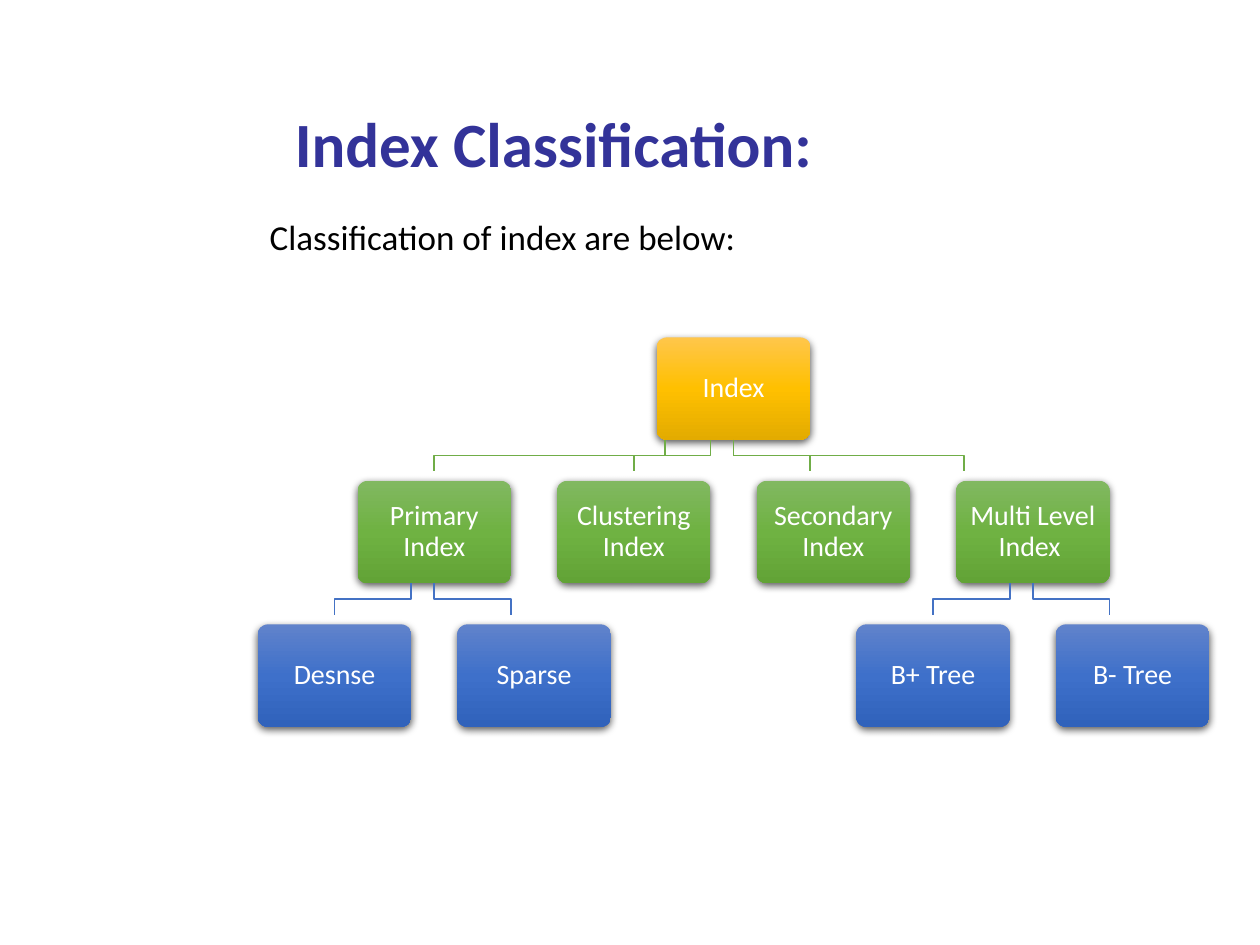
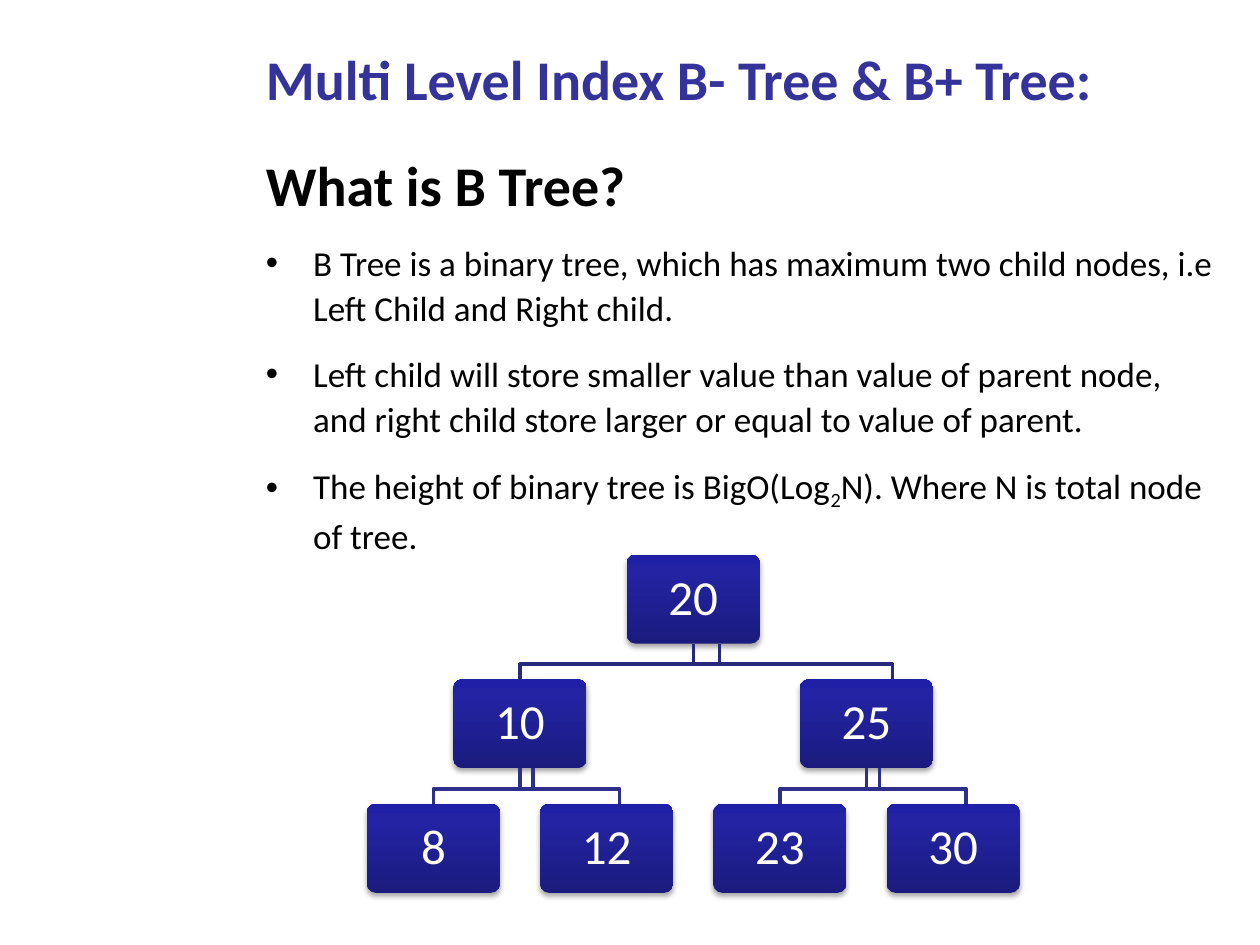
from pptx import Presentation
from pptx.dml.color import RGBColor
from pptx.enum.shapes import MSO_SHAPE
from pptx.enum.text import MSO_ANCHOR as Anchor, MSO_AUTO_SIZE as AutoSize, PP_ALIGN as Align
from pptx.oxml import parse_xml
from pptx.oxml.ns import nsdecls, qn
from pptx.util import Pt

# Shared style
FONT = "Calibri"
INDIGO = RGBColor(0x33, 0x33, 0x99)
BLACK = RGBColor(0, 0, 0)
WHITE = RGBColor(255, 255, 255)
GREEN_LINE = RGBColor(0x70, 0xAD, 0x47)
BLUE_LINE = RGBColor(0x44, 0x72, 0xC4)
NAVY_LINE = RGBColor(0x29, 0x29, 0x7B)
VIOLET_LINE = RGBColor(0x2E, 0x2E, 0x8B)

# Gradients: (position in percent, colour) stops and an angle in degrees
GOLD = ([(0, RGBColor(0xFF, 0xC6, 0x4B)), (50, RGBColor(0xFF, 0xC0, 0x00)),
         (100, RGBColor(0xE3, 0xAB, 0x00))], 90)
GREEN = ([(0, RGBColor(0x81, 0xB8, 0x61)), (50, RGBColor(0x6F, 0xB2, 0x42)),
          (100, RGBColor(0x62, 0xA3, 0x36))], 90)
BLUE = ([(0, RGBColor(0x61, 0x83, 0xCB)), (50, RGBColor(0x3E, 0x70, 0xCA)),
         (100, RGBColor(0x30, 0x62, 0xBB))], 90)
NAVY = ([(0, RGBColor(0x1B, 0x1B, 0x7E)), (80, RGBColor(0x23, 0x23, 0xA3)),
         (100, RGBColor(0x20, 0x20, 0xA6))], 270)

# Content: a tree node is (label, children); body lines are (text, size, bold, bullet)
# and text between underscores is set as subscript.
# "pitches" and "lines" hold one value for each level below the root.
SLIDES = [
    {
        "title": ("Index Classification:", 36, (161.3, 35.3, 544.3, 89.3)),
        "body": [("Classification of index are below:", 20, False, False)],
        "body_at": (146.9, 118, 573.1, 342),
        "tree": ("Index", [
            ("Primary Index", [("Desnse", []), ("Sparse", [])]),
            ("Clustering Index", []),
            ("Secondary Index", []),
            ("Multi Level Index ", [("B+ Tree", []), ("B- Tree", [])]),
        ]),
        "style": {
            "root": (419.2, 192.8), "box": (87.8, 58.5), "row_pitch": 82,
            "pitches": (114, 114), "fills": (GOLD, GREEN, BLUE),
            "lines": (GREEN_LINE, BLUE_LINE), "line_width": 1, "elbow_scale": 0.77,
            "size": 16, "inset": 5, "shadow": (63, 4.5, 1.5),
        },
    },
    {
        "title": ("Multi Level Index B- Tree & B+ Tree:", 32, (144.7, -1.4, 544.3, 89.3)),
        "body": [
            ("What is B Tree?", 32, True, False),
            ("B Tree is a binary tree, which has maximum two child nodes, "
             "i.e Left Child and Right child.", 20, False, True),
            ("Left child will store smaller value than value of parent node, "
             "and right child store larger or equal to value of parent.", 20, False, True),
            ("The height of binary tree is BigO(Log_2_N). "
             "Where N is total node of tree.", 20, False, True),
        ],
        "body_at": (144.7, 79.9, 557.3, 380.2),
        "tree": ("20", [
            ("10", [("8", []), ("12", [])]),
            ("25", [("23", []), ("30", [])]),
        ]),
        "style": {
            "root": (396.2, 317), "box": (76.2, 50.8), "row_pitch": 71.2,
            "pitches": (198, 99), "fills": (NAVY, NAVY, NAVY),
            "lines": (NAVY_LINE, VIOLET_LINE), "line_width": 2, "elbow_scale": 1.15,
            "size": 28, "inset": 8.4, "shadow": (35, 3.1, 1.8),
        },
    },
]


def write(para, text, size, color, bold=False, align=Align.LEFT, spacing=1.07, after=8):
    """Fill a paragraph; parts between underscores become subscripts."""
    para.alignment, para.line_spacing, para.space_after = align, spacing, Pt(after)
    for number, part in enumerate(text.split("_")):
        span = para.add_run()
        span.text = part
        font = span.font
        font.name, font.size, font.bold = FONT, Pt(size), bold
        font.color.rgb = color
        if number % 2:
            span._r.get_or_add_rPr().set("baseline", "-25000")


def place(shape, at):
    shape.left, shape.top, shape.width, shape.height = map(Pt, at)


def indent(para, bullet):
    """Hang a bullet, or remove the one from the template."""
    properties = para._p.get_or_add_pPr()
    margin = Pt(27) if bullet else 0
    properties.set("marL", str(margin))
    properties.set("indent", str(-margin))
    mark = '<a:buChar %s char="•"/>' if bullet else "<a:buNone %s/>"
    properties.append(parse_xml(mark % nsdecls("a")))


def add_gradient(shape, gradient):
    stops, angle = gradient
    marks = "".join(f'<a:gs pos="{position * 1000}"><a:srgbClr val="{color}"/></a:gs>'
                    for position, color in stops)
    fill = parse_xml(f'<a:gradFill {nsdecls("a")} rotWithShape="1"><a:gsLst>{marks}</a:gsLst>'
                     f'<a:lin ang="{angle * 60000}" scaled="0"/></a:gradFill>')
    shape._element.spPr.find(qn("a:prstGeom")).addnext(fill)


def add_shadow(shape, opacity, blur, distance):
    shape.shadow.inherit = False
    shape._element.spPr.find(qn("a:effectLst")).append(parse_xml(
        f'<a:outerShdw {nsdecls("a")} blurRad="{Pt(blur)}" dist="{Pt(distance)}" '
        f'dir="5400000" algn="ctr" rotWithShape="0"><a:srgbClr val="{BLACK}">'
        f'<a:alpha val="{opacity * 1000}"/></a:srgbClr></a:outerShdw>'))


def add_node_box(page, label, center, top, level, style):
    width, height = style["box"]
    box = page.shapes.add_shape(MSO_SHAPE.ROUNDED_RECTANGLE, Pt(center - width / 2),
                                Pt(top), Pt(width), Pt(height))
    box.adjustments[0] = 0.1
    box.line.fill.background()
    add_gradient(box, style["fills"][level])
    add_shadow(box, *style["shadow"])
    frame = box.text_frame
    frame.word_wrap, frame.vertical_anchor = True, Anchor.MIDDLE
    frame.margin_left = frame.margin_right = Pt(style["inset"])
    frame.margin_top = frame.margin_bottom = Pt(style["inset"])
    write(frame.paragraphs[0], label, style["size"], WHITE,
          align=Align.CENTER, spacing=0.9, after=0)


def add_elbow(page, parent_x, child_x, top, level, style):
    """Draw a branch, scaled from the left end of the span between two centres."""
    scale, left = style["elbow_scale"], min(parent_x, child_x)
    start, end = (left + (x - left) * scale for x in (parent_x, child_x))
    drop = (style["row_pitch"] - style["box"][1]) * scale
    bend = top + drop / 2
    outline = page.shapes.build_freeform(Pt(start), Pt(top))
    outline.add_line_segments([(Pt(start), Pt(bend)), (Pt(end), Pt(bend)),
                               (Pt(end), Pt(top + drop))], close=False)
    elbow = outline.convert_to_shape()
    elbow.fill.background()
    elbow.line.color.rgb = style["lines"][level]
    elbow.line.width = Pt(style["line_width"])
    elbow.shadow.inherit = False


def add_tree(page, node, center, top, style, level=0):
    """Draw a node, then its children centred below it at the pitch of their level."""
    label, children = node
    add_node_box(page, label, center, top, level, style)
    for number, child in enumerate(children):
        child_x = center + (number - (len(children) - 1) / 2) * style["pitches"][level]
        add_elbow(page, center, child_x, top + style["box"][1], level, style)
        add_tree(page, child, child_x, top + style["row_pitch"], style, level + 1)


def add_page(deck, content):
    page = deck.slides.add_slide(deck.slide_layouts[1])

    # Title
    text, size, at = content["title"]
    title = page.shapes.title
    place(title, at)
    title.text_frame.auto_size = AutoSize.NONE
    title.text_frame.vertical_anchor = Anchor.MIDDLE
    write(title.text_frame.paragraphs[0], text, size, INDIGO, bold=True)

    # Body
    body = page.placeholders[1]
    place(body, content["body_at"])
    frame = body.text_frame
    frame.auto_size = AutoSize.NONE
    for number, (text, size, bold, bullet) in enumerate(content["body"]):
        para = frame.add_paragraph() if number else frame.paragraphs[0]
        write(para, text, size, BLACK, bold=bold)
        indent(para, bullet)

    # Tree
    add_tree(page, content["tree"], *content["style"]["root"], content["style"])


def main():
    deck = Presentation()
    deck.slide_width, deck.slide_height = Pt(720), Pt(540)
    for content in SLIDES:
        add_page(deck, content)
    deck.save("out.pptx")


if __name__ == "__main__":
    main()
